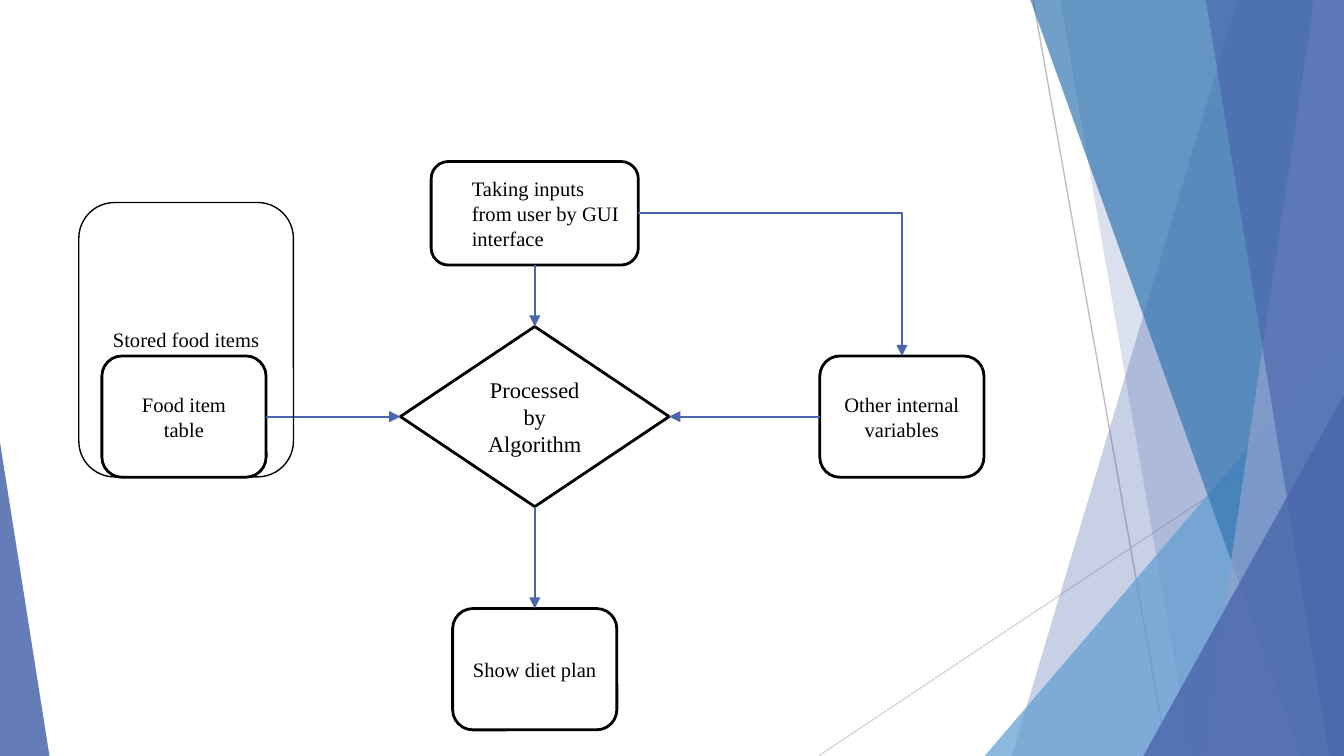
from lxml import etree
from pptx import Presentation
from pptx.dml.color import RGBColor
from pptx.enum.shapes import MSO_CONNECTOR, MSO_SHAPE
from pptx.enum.text import MSO_ANCHOR, PP_ALIGN
from pptx.oxml.ns import qn
from pptx.util import Pt

ROUND, DIAMOND, TRIANGLE = MSO_SHAPE.ROUNDED_RECTANGLE, MSO_SHAPE.DIAMOND, MSO_SHAPE.ISOSCELES_TRIANGLE
STRAIGHT, ELBOW = MSO_CONNECTOR.STRAIGHT, MSO_CONNECTOR.ELBOW
MIDDLE, LEFT, CENTER = MSO_ANCHOR.MIDDLE, PP_ALIGN.LEFT, PP_ALIGN.CENTER
TOP_SITE, LEFT_SITE, BOTTOM_SITE, RIGHT_SITE = range(4)

W, H = 720, 405
FONT, BLACK, WHITE, BLUE = "Times New Roman", "000000", "FFFFFF", "4A66AC"
AXIS_X, ROW_Y = 286.5, 223.2
BOX = (88, 65)

HAIRLINES = [((553.5, 0), (625.5, H), "BFBFBF"), ((W, 217.5), (438.5, H), "D9D9D9")]
FACETS = [
    ("band", 663, 542, BLUE, 30),
    ("band", 567.5, 638.5, BLUE, 20),
    ("triangle", (527.5, 180, 192.5, 225), 1, "629DD1", 72),
    ("band", 551.5, 697, "3477B2", 70),
    ("band", 704, 643.5, "90A2CF", 70),
    ("band", 646, 711.5, BLUE, 65),
    ("triangle", (612.5, 211.5, 107.5, 193.5), 1, BLUE, 80),
    ("triangle", (0, 237, 26.5, 168), 0, BLUE, 85),
]
NODES = {
    "input": (ROUND, (AXIS_X, 114.3), (111, 55.5), "Taking inputs from user by GUI interface", 11),
    "variables": (ROUND, (483.2, ROW_Y), BOX, "Other internal variables", 11),
    "table": (ROUND, (98.6, ROW_Y), BOX, "Food item table", 11),
    "plan": (ROUND, (AXIS_X, 358.5), BOX, "Show diet plan", 11),
    "process": (DIAMOND, (AXIS_X, ROW_Y), (144, 96.5), "Processed by Algorithm", 12),
}
FLOWS = [
    ("input", BOTTOM_SITE, "process", TOP_SITE, STRAIGHT),
    ("process", BOTTOM_SITE, "plan", TOP_SITE, STRAIGHT),
    ("table", RIGHT_SITE, "process", LEFT_SITE, ELBOW),
    ("variables", LEFT_SITE, "process", RIGHT_SITE, ELBOW),
    ("input", RIGHT_SITE, "variables", TOP_SITE, ELBOW),
]
STORE = (ROUND, (99.7, 182), (115, 147), "Stored food items", 11)


def rgb(value):
    return RGBColor.from_string(value)


def add_line(kind, start, end, color, width):
    line = s.shapes.add_connector(kind, *(Pt(v) for v in (*start, *end)))
    line.line.color.rgb = rgb(color)
    line.line.width = Pt(width)
    etree.SubElement(line._element.spPr, qn("a:effectLst"))
    return line


def add_facet(kind, place, lean, color, opacity):
    if kind == "band":
        builder = s.shapes.build_freeform(place, 0, scale=Pt(1))
        builder.add_line_segments([(W, 0), (W, H), (lean, H)], close=True)
        sp = builder.convert_to_shape()
    else:
        sp = s.shapes.add_shape(TRIANGLE, *(Pt(v) for v in place))
        sp.adjustments[0] = lean
    sp.shadow.inherit = False
    sp.line.fill.background()
    sp.fill.solid()
    sp.fill.fore_color.rgb = rgb(color)
    clr = sp._element.spPr.find(qn("a:solidFill"))[0]
    etree.SubElement(clr, qn("a:alpha"), val=str(opacity * 1000))


def add_node(shape, center, size, text, font_size, line_width=1.5, filled=True):
    (x, y), (w, h) = center, size
    sp = s.shapes.add_shape(shape, Pt(x - w / 2), Pt(y - h / 2), Pt(w), Pt(h))
    sp.shadow.inherit = False
    if filled:
        sp.fill.solid()
        sp.fill.fore_color.rgb = rgb(WHITE)
    else:
        sp.fill.background()
    sp.line.color.rgb = rgb(BLACK)
    sp.line.width = Pt(line_width)
    tf = sp.text_frame
    tf.word_wrap = True
    tf.vertical_anchor = MIDDLE
    p = tf.paragraphs[0]
    p.text = text
    p.alignment = CENTER
    p.font.name = FONT
    p.font.size = Pt(font_size)
    p.font.color.rgb = rgb(BLACK)
    return sp


def add_flow(source, source_site, target, target_site, kind):
    line = add_line(kind, (0, 0), (0, 0), BLUE, 1)
    line.begin_connect(nodes[source], source_site)
    line.end_connect(nodes[target], target_site)
    if (source_site, target_site) == (RIGHT_SITE, TOP_SITE):
        line._element.spPr.find(qn("a:prstGeom")).set("prst", "bentConnector2")
    etree.SubElement(line.line._get_or_add_ln(), qn("a:tailEnd"), type="triangle")


prs = Presentation()
prs.slide_width, prs.slide_height = Pt(W), Pt(H)
s = prs.slides.add_slide(prs.slide_layouts[6])

for start, end, color in HAIRLINES:
    add_line(STRAIGHT, start, end, color, 0.75)
for facet in FACETS:
    add_facet(*facet)

nodes = {name: add_node(*node) for name, node in NODES.items()}
p = nodes["input"].text_frame.paragraphs[0]
p.alignment = LEFT
p.space_before = Pt(7.5)
p._p.get_or_add_pPr().set("marL", str(Pt(12)))

for flow in FLOWS:
    add_flow(*flow)
add_node(*STORE, line_width=0.75, filled=False)

prs.save("out.pptx")
